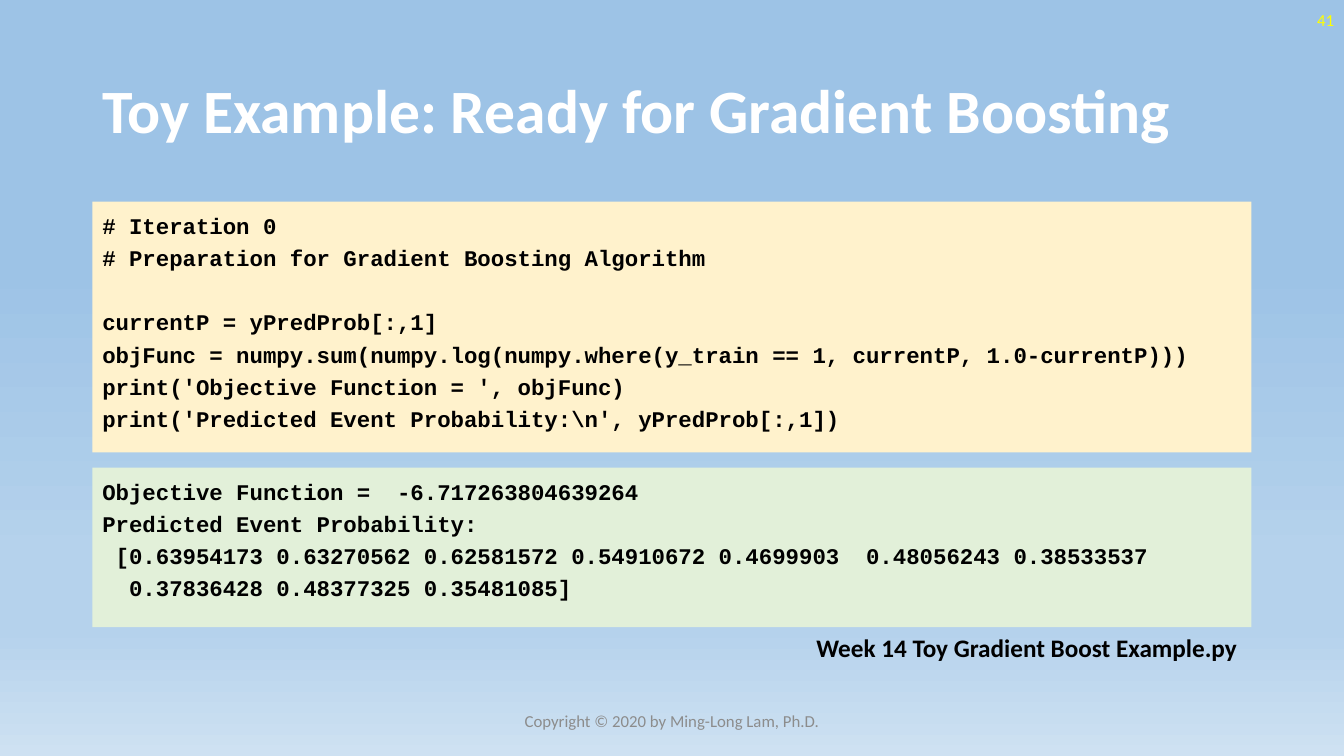
"""Builds the slide on getting ready for gradient boosting."""
from copy import deepcopy

from pptx import Presentation
from pptx.dml.color import RGBColor
from pptx.enum.shapes import MSO_SHAPE
from pptx.enum.text import MSO_ANCHOR, MSO_AUTO_SIZE, PP_ALIGN
from pptx.util import Pt

RECT = MSO_SHAPE.RECTANGLE
TOP, MIDDLE = MSO_ANCHOR.TOP, MSO_ANCHOR.MIDDLE
LEFT, CENTER, RIGHT = PP_ALIGN.LEFT, PP_ALIGN.CENTER, PP_ALIGN.RIGHT
GROW = MSO_AUTO_SIZE.SHAPE_TO_FIT_TEXT

WIDE, HIGH = 960, 540
EDGE, SPAN = 66, 828
GAP = 23
STOPS = [(0.35, "9DC3E6"), (0.74, "B5D2EC"), (0.83, "B5D2EC"), (1, "CEE1F2")]

TITLE = "Toy Example: Ready for Gradient Boosting"
NUMBER = "41"
SOURCE = "Week 14 Toy Gradient Boost Example.py"
FOOTER = "Copyright © 2020 by Ming-Long Lam, Ph.D."
CODE = [
    ["# Iteration 0", "# Preparation for Gradient Boosting Algorithm"],
    ["currentP = yPredProb[:,1]",
     "objFunc = numpy.sum(numpy.log(numpy.where(y_train == 1, currentP, 1.0-currentP)))",
     "print('Objective Function = ', objFunc)",
     "print('Predicted Event Probability:\\n', yPredProb[:,1])"],
]
OUTPUT = [
    ["Objective Function =  -6.717263804639264",
     "Predicted Event Probability:",
     " [0.63954173 0.63270562 0.62581572 0.54910672 0.4699903  0.48056243 0.38533537",
     "  0.37836428 0.48377325 0.35481085]"],
]


def color(code):
    return RGBColor.from_string(code)


def add_run(para, text, size, shade, bold, face="Calibri"):
    run = para.add_run()
    run.text = text
    font = run.font
    font.name, font.size, font.bold = face, Pt(size), bold
    font.color.rgb = color(shade)


def add_label(slide, area, text, size, shade, bold=False, align=LEFT, anchor=MIDDLE):
    box = slide.shapes.add_textbox(*map(Pt, area))
    frame = box.text_frame
    frame.word_wrap = True
    frame.vertical_anchor = anchor
    para = frame.paragraphs[0]
    para.alignment = align
    add_run(para, text, size, shade, bold)
    return frame


def add_panel(slide, top, height, fill, blocks):
    panel = slide.shapes.add_shape(RECT, Pt(EDGE), Pt(top), Pt(SPAN), Pt(height))
    panel.shadow.inherit = False
    panel.fill.solid()
    panel.fill.fore_color.rgb = color(fill)
    panel.line.fill.background()
    frame = panel.text_frame
    frame.word_wrap = True
    frame.vertical_anchor = TOP
    for b, block in enumerate(blocks):
        for i, line in enumerate(block):
            para = frame.add_paragraph() if b or i else frame.paragraphs[0]
            para.alignment = LEFT
            para.line_spacing = 1.2
            if b and not i:
                para.space_before = Pt(GAP)
            add_run(para, line, 16, "000000", True, "Courier New")


def paint_back(slide):
    fill = slide.background.fill
    fill.gradient()
    fill.gradient_angle = 270
    group = slide.element.xpath(".//a:gsLst")[0]
    while len(group) < len(STOPS):
        group.append(deepcopy(group[0]))
    for stop, (place, shade) in zip(fill.gradient_stops, STOPS):
        stop.position = place
        stop.color.rgb = color(shade)


def main():
    deck = Presentation()
    deck.slide_width, deck.slide_height = Pt(WIDE), Pt(HIGH)
    slide = deck.slides.add_slide(deck.slide_layouts[6])
    paint_back(slide)
    title = add_label(slide, (EDGE, 28.75, SPAN, 104.4), TITLE, 44, "FFFFFF", True)
    title.paragraphs[0].line_spacing = 0.9
    add_label(slide, (WIDE - 216, 0, 216, 28.75), NUMBER, 12, "FFFF00", align=RIGHT)
    label = add_label(slide, (576, 448, 317.5, 29), SOURCE, 18, "000000", True, anchor=TOP)
    label.word_wrap = False
    label.auto_size = GROW
    add_label(slide, (318, 500.5, 324, 28.75), FOOTER, 12, "8C8C8C", align=CENTER)
    add_panel(slide, 144, 179.25, "FFF2CC", CODE)
    add_panel(slide, 334, 114, "E2F0D9", OUTPUT)
    deck.save("out.pptx")


if __name__ == "__main__":
    main()
